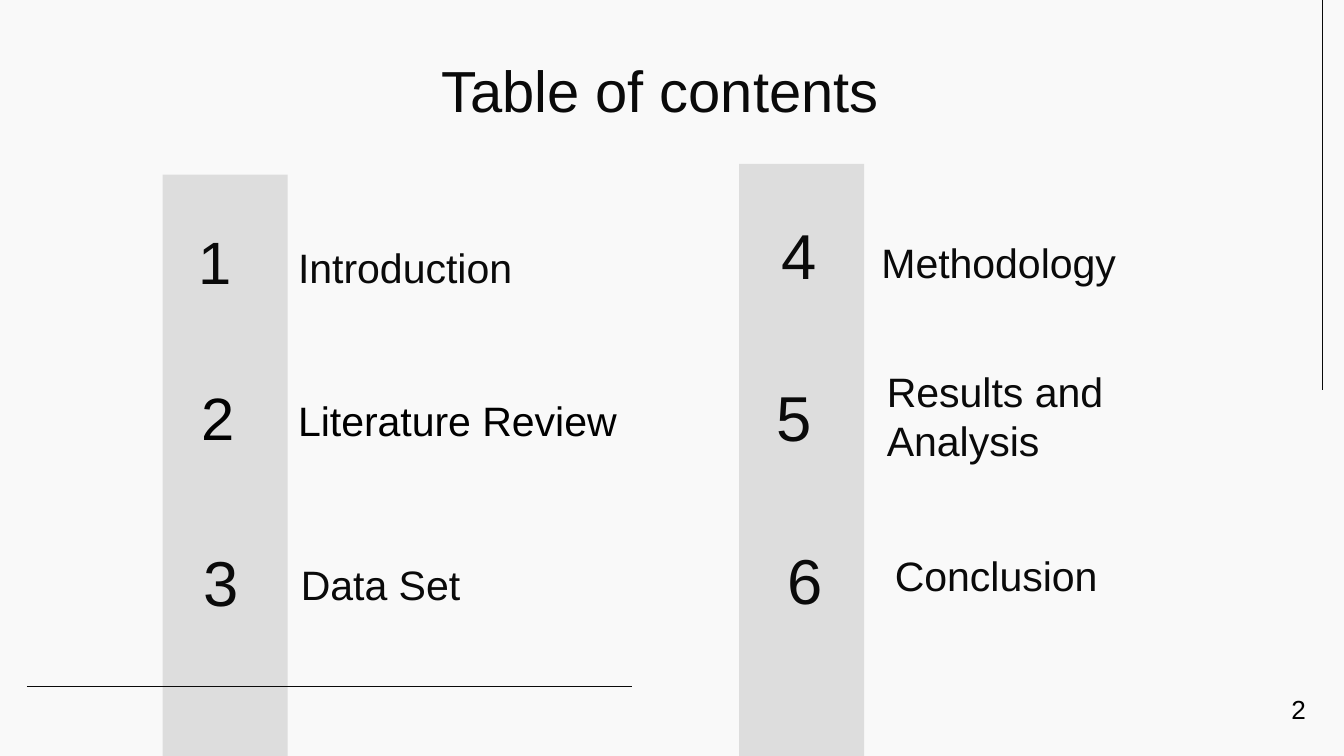
import pptx
import pptx.util
import pptx.dml.color
import pptx.enum.text
import pptx.enum.shapes
import lxml.etree

Pt = pptx.util.Pt
ALIGN = pptx.enum.text.PP_ALIGN
ANCHOR = pptx.enum.text.MSO_ANCHOR
W, H = 720, 405
FONT = "Arial"
INK = {"paper": "F9F9F9", "bar": "DDDDDD", "text": "0A0A0A", "black": "000000"}

# Content: boxes are left, top, width, height
TITLE = ("Table of contents", (49.7, 22.3, 607.7, 43.2))
BARS = [(396, 87.8), (87.1, 93.6)]
BAR_W = 67
LINES = [((708.5, 208.8), (708.5, 0)), ((14.4, 367.9), (338.4, 367.9))]
DIGITS = [
    ("1", (80.6, 94.3, 69.1, 90.7), 32),
    ("3", (84.2, 275.8, 69.1, 70.6), 34),
    ("4", (393.8, 90.7, 69.1, 90.7), 34),
    ("5", (391, 177.8, 69.1, 90.7), 34),
    ("6", (396.7, 265, 69.1, 90.7), 34),
]
TOPICS = [
    ("Introduction", (152.6, 100.1, 180, 63.4)),
    ("Data Set", (154.1, 270, 180, 63.4)),
    ("Methodology", (465.1, 97.2, 180, 63.4)),
    ("Results and Analysis", (468, 193, 180, 63.4)),
    ("Conclusion", (472.3, 273.6, 180, 54.7)),
]
# Snug boxes: text, box, size, wrap
SNUG = [
    ("2", (100.8, 200.2, 52.6, 46.1), 32, True),
    ("Literature Review", (152.6, 208.1, 187.9, 33.8), 22, False),
    ("2", (684.7, 367.9, 22.3, 24.5), 14, False),
]


def tint(key):
    return pptx.dml.color.RGBColor.from_string(INK[key])


def write(shape, text, size, align, anchor, ink="text", pad=7.2, wrap=True):
    frame = shape.text_frame
    frame.auto_size = pptx.enum.text.MSO_AUTO_SIZE.NONE
    frame.word_wrap = wrap
    frame.vertical_anchor = anchor
    frame.margin_left = frame.margin_right = Pt(7.2)
    frame.margin_top = frame.margin_bottom = Pt(pad)
    frame.text = text
    para = frame.paragraphs[0]
    para.alignment = align
    para.font.name = FONT
    para.font.size = Pt(size)
    para.font.color.rgb = tint(ink)


deck = pptx.Presentation()
deck.slide_width, deck.slide_height = Pt(W), Pt(H)
slide = deck.slides.add_slide(deck.slide_layouts[5])
slide.background.fill.solid()
slide.background.fill.fore_color.rgb = tint("paper")
shapes = slide.shapes


def add_text(box, *args, **more):
    write(shapes.add_textbox(*map(Pt, box)), *args, **more)


# Grey bars running to the foot of the slide
for left, top in BARS:
    bar = shapes.add_shape(pptx.enum.shapes.MSO_SHAPE.RECTANGLE,
                           Pt(left), Pt(top), Pt(BAR_W), Pt(H - top))
    bar.shadow.inherit = False
    bar.fill.solid()
    bar.fill.fore_color.rgb = tint("bar")
    bar.line.fill.background()

# Thin rules
for start, end in LINES:
    rule = shapes.add_connector(pptx.enum.shapes.MSO_CONNECTOR.STRAIGHT,
                                *map(Pt, start + end))
    rule.line.color.rgb = tint("text")
    rule.line.width = Pt(0.75)
    lxml.etree.SubElement(rule._element.spPr, pptx.oxml.ns.qn("a:effectLst"))

# Title
text, box = TITLE
head = shapes.title
head.left, head.top, head.width, head.height = map(Pt, box)
write(head, text, 31, ALIGN.CENTER, ANCHOR.TOP)

# Numbers and topics
for text, box, size in DIGITS:
    add_text(box, text, size, ALIGN.CENTER, ANCHOR.MIDDLE)
for text, box in TOPICS:
    add_text(box, text, 22, ALIGN.LEFT, ANCHOR.BOTTOM)
for text, box, size, wrap in SNUG:
    add_text(box, text, size, ALIGN.LEFT, ANCHOR.TOP, "black", 3.6, wrap)

deck.save("out.pptx")
